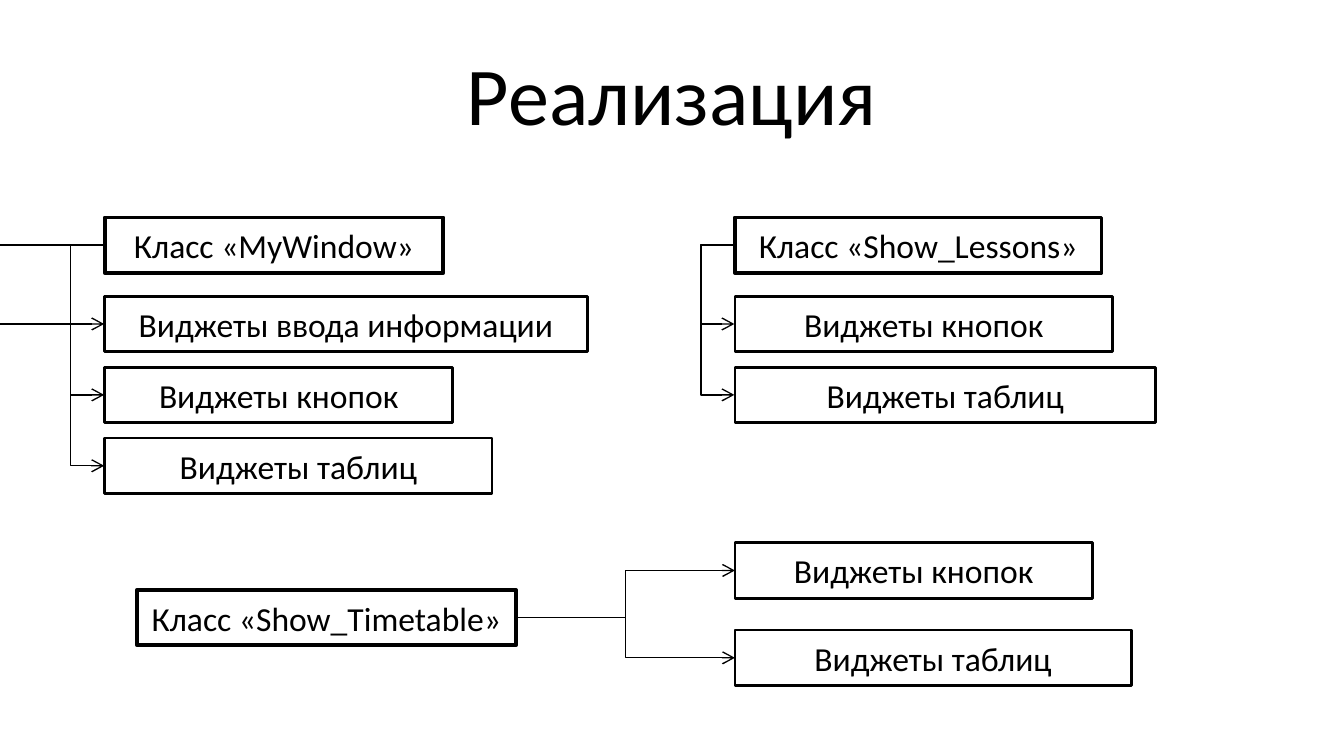
from dataclasses import dataclass
from pptx import Presentation
from pptx.dml.color import RGBColor
from pptx.enum import shapes, text
from pptx.oxml import ns, xmlchemy
from pptx.util import Cm, Pt

TITLE = "Реализация"
INPUTS, BUTTONS, TABLES = "Виджеты ввода информации", "Виджеты кнопок", "Виджеты таблиц"

# Lengths in cm. Children are (label, width, reach); reach is how far a side
# arrow swings left of the boxes, None for an arrow running left to right.
GROUPS = [
    dict(label="Класс «MyWindow»", at=(1.98, 4.11), width=6.4,
         first=(1.98, 5.6), step=1.34,
         children=[(INPUTS, 9.12, 2.2), (BUTTONS, 6.58, 0.64), (TABLES, 7.32, 0.64)]),
    dict(label="Класс «Show_Lessons»", at=(13.89, 4.11), width=6.93,
         first=(13.89, 5.6), step=1.34,
         children=[(BUTTONS, 7.14, 0.64), (TABLES, 7.95, 0.64)]),
    dict(label="Класс «Show_Timetable»", at=(2.59, 11.15), width=7.16,
         first=(13.89, 10.26), step=1.65,
         children=[(BUTTONS, 6.76, None), (TABLES, 7.49, None)]),
]
BOX_HEIGHT = 1.05
LEFT_SITE, RIGHT_SITE = 1, 3


@dataclass(frozen=True)
class Theme:
    """Colours, font and sizes of the slide."""
    ink: RGBColor = RGBColor(0, 0, 0)
    paper: RGBColor = RGBColor(255, 255, 255)
    font: str = "Calibri"
    title_size: Pt = Pt(44)
    box_size: Pt = Pt(18)
    class_line: Pt = Pt(2)
    widget_line: Pt = Pt(1.5)
    arrow_line: Pt = Pt(0.75)


THEME = Theme()


def write(shape, label, size):
    """Put one centred line of text in a shape."""
    frame = shape.text_frame
    frame.text = label
    frame.vertical_anchor = text.MSO_ANCHOR.MIDDLE
    paragraph = frame.paragraphs[0]
    paragraph.alignment = text.PP_ALIGN.CENTER
    paragraph.font.name = THEME.font
    paragraph.font.size = size
    paragraph.font.color.rgb = THEME.ink


def add_box(slide, label, left, top, width, line_width):
    """Add an outlined box with a label."""
    box = slide.shapes.add_shape(shapes.MSO_SHAPE.RECTANGLE, Cm(left), Cm(top),
                                 Cm(width), Cm(BOX_HEIGHT))
    box.shadow.inherit = False
    box.fill.solid()
    box.fill.fore_color.rgb = THEME.paper
    box.line.color.rgb = THEME.ink
    box.line.width = line_width
    write(box, label, THEME.box_size)
    return box


def add_arrow(slide, parent, child, reach):
    """Join two boxes with a bent arrow."""
    arrow = slide.shapes.add_connector(shapes.MSO_CONNECTOR.ELBOW, 0, 0, 0, 0)
    arrow.begin_connect(parent, RIGHT_SITE if reach is None else LEFT_SITE)
    arrow.end_connect(child, LEFT_SITE)
    arrow.line.color.rgb = THEME.ink
    arrow.line.width = THEME.arrow_line
    if reach is not None:
        # The bend is a share of the width, so the width must not be zero.
        arrow.end_x = arrow.begin_x - Cm(0.01)
        guides = arrow._element.spPr.find(ns.qn("a:prstGeom")).get_or_add_avLst()
        guide = xmlchemy.OxmlElement("a:gd")
        guide.set("name", "adj1")
        guide.set("fmla", f"val {round(reach / 0.01 * 100000)}")
        guides.append(guide)
    head = xmlchemy.OxmlElement("a:tailEnd")
    head.set("type", "arrow")
    arrow.line._get_or_add_ln().append(head)
    arrow._element.spPr.append(xmlchemy.OxmlElement("a:effectLst"))


def add_group(slide, group):
    """Add a class box, its widget boxes and their arrows."""
    parent = add_box(slide, group["label"], *group["at"], group["width"], THEME.class_line)
    left, top = group["first"]
    for row, (label, width, reach) in enumerate(group["children"]):
        child = add_box(slide, label, left, top + row * group["step"], width,
                        THEME.widget_line)
        add_arrow(slide, parent, child, reach)


presentation = Presentation()
presentation.slide_width, presentation.slide_height = Cm(25.4), Cm(14.29)
slide = presentation.slides.add_slide(presentation.slide_layouts[5])
title = slide.shapes.title
title.left, title.top, title.width, title.height = Cm(1.27), Cm(0.57), Cm(22.86), Cm(2.38)
write(title, TITLE, THEME.title_size)
for group in GROUPS:
    add_group(slide, group)
presentation.save("out.pptx")
